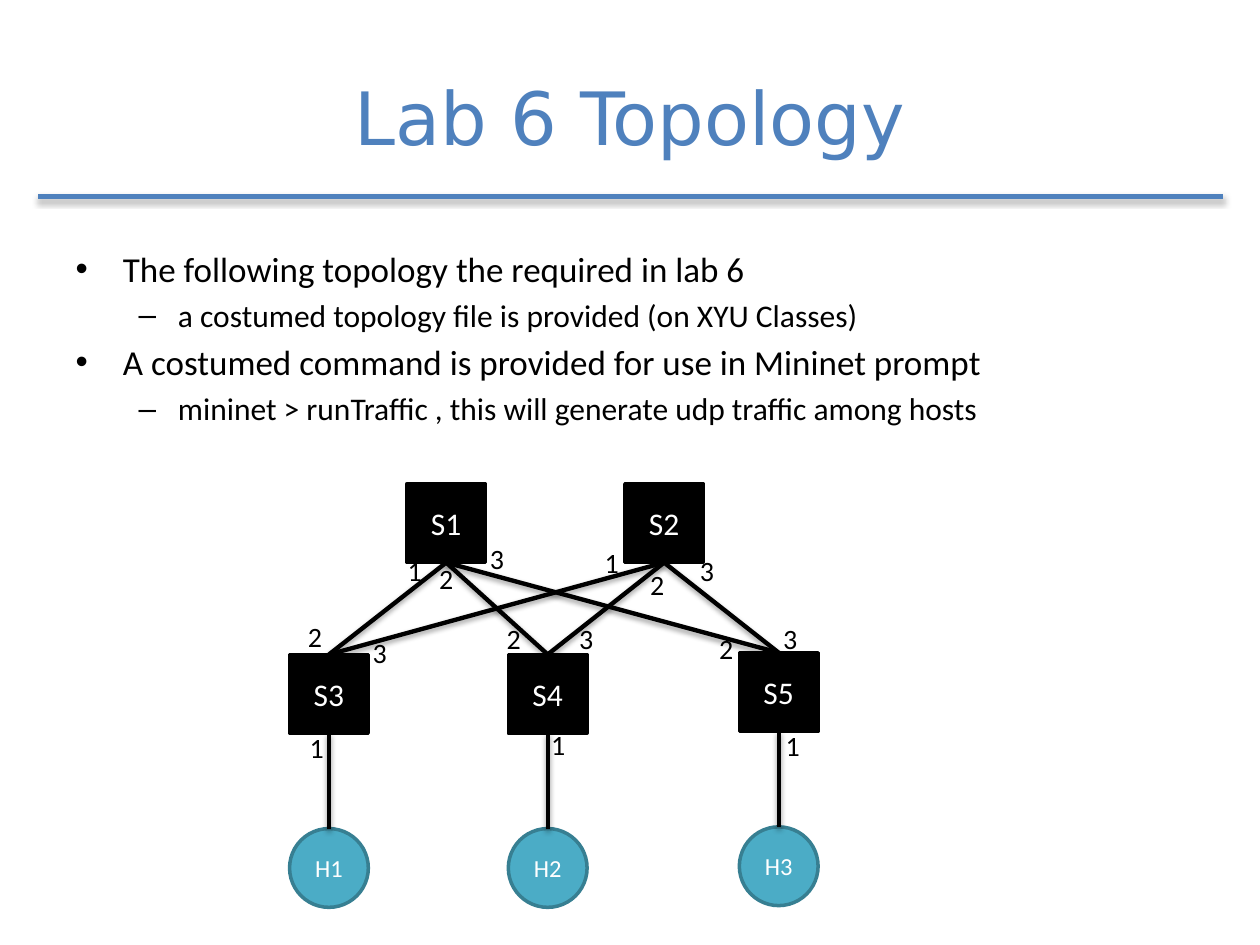
from lxml.etree import SubElement
from pptx import Presentation
from pptx.dml.color import RGBColor
from pptx.enum.shapes import MSO_CONNECTOR, MSO_SHAPE
from pptx.enum.text import MSO_ANCHOR, PP_ALIGN
from pptx.oxml.ns import qn
from pptx.util import Pt

theme = {
    "blue": RGBColor.from_string("4F81BD"),
    "black": RGBColor.from_string("000000"),
    "white": RGBColor.from_string("FFFFFF"),
    "teal": RGBColor.from_string("4BACC6"),
    "edge": RGBColor.from_string("377F92"),
    "head": "DejaVu Sans", "text": "Calibri",
    "title": 42, "levels": (20, 18), "switch": 18, "host": 14, "port": 16,
}


def style(frame, size, color, face=theme["text"]):
    """Centre the text of a frame and set its font."""
    frame.word_wrap = True
    frame.vertical_anchor = MSO_ANCHOR.MIDDLE
    para = frame.paragraphs[0]
    para.alignment = PP_ALIGN.CENTER
    para.font.size, para.font.name = Pt(size), face
    para.font.color.rgb = color


def dress(line, color, width, alpha, drop):
    """Colour a connector and give it a soft shadow below."""
    line.line.color.rgb = color
    line.line.width = Pt(width)
    effects = SubElement(line._element.spPr, qn("a:effectLst"))
    shade = SubElement(effects, qn("a:outerShdw"), blurRad=str(Pt(3.15)),
                       dist=str(Pt(drop)), dir="5400000", rotWithShape="0")
    tint = SubElement(shade, qn("a:srgbClr"), val=str(theme["black"]))
    SubElement(tint, qn("a:alpha"), val=str(alpha * 1000))


deck = Presentation()
deck.slide_width, deck.slide_height = Pt(720), Pt(540)
slide = deck.slides.add_slide(deck.slide_layouts[1])
shapes = slide.shapes

# Title, rule and list
title, body = slide.placeholders
title.left, title.top, title.width, title.height = Pt(36), Pt(21.6), Pt(648), Pt(90)
title.text_frame.text = "Lab 6 Topology"
style(title.text_frame, theme["title"], theme["blue"], theme["head"])

rule = shapes.add_connector(MSO_CONNECTOR.STRAIGHT, Pt(699), Pt(112.5), Pt(21.5), Pt(112.5))
dress(rule, theme["blue"], 3, 35, 1.8)

body.left, body.top, body.width, body.height = Pt(36), Pt(138), Pt(648), Pt(344)
items = [
    (0, "The following topology the required in lab 6"),
    (1, "a costumed topology file is provided (on XYU Classes)"),
    (0, "A costumed command is provided for use in Mininet prompt"),
    (1, "mininet > runTraffic , this will generate udp traffic among hosts"),
]
body.text_frame.text = "\n".join(text for level, text in items)
for para, (level, text) in zip(body.text_frame.paragraphs, items):
    para.level = level
    para.font.size, para.font.name = Pt(theme["levels"][level]), theme["text"]
    para.font.color.rgb = theme["black"]

# Switches and hosts: centre x and top
side = 45
places = {
    "S1": (255, 276.5), "S2": (379.5, 276.5),
    "S3": (188, 374), "S4": (313, 374), "S5": (445, 373),
    "H1": (188, 473.5), "H2": (313, 473.5), "H3": (445, 472.5),
}
kinds = {
    "S": (MSO_SHAPE.RECTANGLE, theme["black"], theme["black"], theme["switch"]),
    "H": (MSO_SHAPE.OVAL, theme["teal"], theme["edge"], theme["host"]),
}
nodes = {}
for name, (mid, top) in places.items():
    form, fill, edge, size = kinds[name[0]]
    node = shapes.add_shape(form, Pt(mid - side / 2), Pt(top), Pt(side), Pt(side))
    node.shadow.inherit = False
    node.fill.solid()
    node.fill.fore_color.rgb = fill
    node.line.color.rgb = edge
    node.line.width = Pt(2)
    node.text_frame.text = name
    style(node.text_frame, size, theme["white"])
    nodes[name] = node

# Links run from the bottom of one node to the top of the next
links = [(up, down) for up in ("S1", "S2") for down in ("S3", "S4", "S5")]
links += [("S3", "H1"), ("S4", "H2"), ("S5", "H3")]
for up, down in links:
    link = shapes.add_connector(MSO_CONNECTOR.STRAIGHT, 0, 0, 0, 0)
    link.begin_connect(nodes[up], 2)
    link.end_connect(nodes[down], 0)
    dress(link, theme["black"], 2.5, 38, 1.6)

# Port numbers of each switch: left and top of ports 1, 2, 3
ports = {
    "S1": [(224.5, 317.5), (242.5, 322.5), (271.5, 311)],
    "S2": [(337, 313), (363, 325.5), (391.5, 317.5)],
    "S3": [(168.5, 419), (167.5, 355.5), (204.5, 364.5)],
    "S4": [(306.5, 417), (281, 356.5), (322.5, 356.5)],
    "S5": [(440.5, 417.5), (402.5, 362), (439, 356.5)],
}
for spots in ports.values():
    for port, (left, top) in enumerate(spots, 1):
        label = shapes.add_textbox(Pt(left), Pt(top), Pt(25), Pt(16.5))
        label.text_frame.text = str(port)
        style(label.text_frame, theme["port"], theme["black"])

deck.save("out.pptx")
